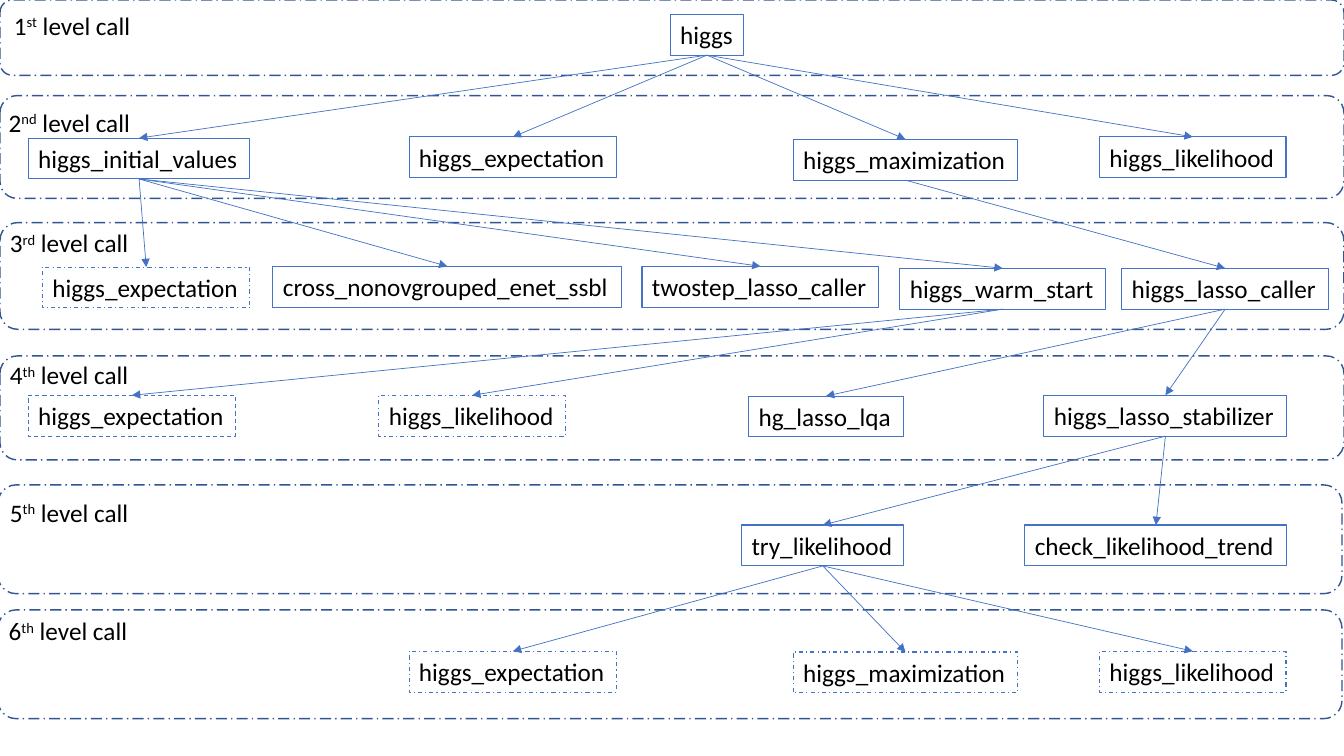
from lxml import etree
from pptx import Presentation
from pptx.dml.color import RGBColor
from pptx.enum.dml import MSO_LINE
from pptx.enum.shapes import MSO_CONNECTOR, MSO_SHAPE
from pptx.enum.text import MSO_AUTO_SIZE
from pptx.oxml.ns import qn
from pptx.util import Cm, Pt

COLORS = {"band": "325491", "box": "4472C4", "text": "000000"}
BOX_HEIGHT = 1.03
BAND_WIDTH = 33.87
TOP, BOTTOM = 0, 2
SOLID, DASH, DASH_DOT = MSO_LINE.SOLID, MSO_LINE.DASH, MSO_LINE.DASH_DOT

prs = Presentation()
prs.slide_width, prs.slide_height = Cm(BAND_WIDTH), Cm(19.05)
slide = prs.slides.add_slide(prs.slide_layouts[6])
shapes = slide.shapes


def set_line(shape, color, width, dash=SOLID):
    shape.line.color.rgb = RGBColor.from_string(COLORS[color])
    shape.line.width = Pt(width)
    shape.line.dash_style = dash


def add_text(left, top, width, *parts):
    box = shapes.add_textbox(Cm(left), Cm(top), Cm(width), Cm(BOX_HEIGHT))
    box.text_frame.word_wrap = False
    box.text_frame.auto_size = MSO_AUTO_SIZE.SHAPE_TO_FIT_TEXT
    for part in parts:
        run = box.text_frame.paragraphs[0].add_run()
        run.text = part
        run.font.name = "Calibri"
        run.font.size = Pt(18)
        run.font.color.rgb = RGBColor.from_string(COLORS["text"])
    return box


levels = [
    ("st", 0, 0, 1.9, 0.1, 0.13, 3.53),
    ("nd", 0, 2.41, 2.59, -0.03, 2.57, 3.66),
    ("rd", 0, 5.61, 2.69, 0, 5.61, 3.58),
    ("th", 0, 8.97, 2.62, 0, 8.94, 3.58),
    ("th", -0.05, 12.22, 2.74, 0, 12.4, 3.58),
    ("th", -0.05, 15.37, 2.74, -0.03, 15.39, 3.58),
]
for number, (suffix, left, top, height, *label_place) in enumerate(levels, 1):
    band = shapes.add_shape(MSO_SHAPE.ROUNDED_RECTANGLE, Cm(left), Cm(top), Cm(BAND_WIDTH), Cm(height))
    band.shadow.inherit = False
    band.fill.background()
    set_line(band, "band", 1, MSO_LINE.LONG_DASH_DOT)
    label = add_text(*label_place, str(number), suffix, " level call")
    label.text_frame.paragraphs[0].runs[1].font._element.set("baseline", "30000")

functions = [
    (1, "higgs", 16.89, 0.36, 1.85, SOLID),
    (2, "higgs_initial_values", 0.71, 3.48, 5.59, SOLID),
    (2, "higgs_expectation", 10.31, 3.45, 5.23, SOLID),
    (2, "higgs_maximization", 19.99, 3.51, 5.66, SOLID),
    (2, "higgs_likelihood", 27.71, 3.45, 4.7, SOLID),
    (3, "higgs_expectation", 1.07, 6.73, 5.23, DASH_DOT),
    (3, "cross_nonovgrouped_enet_ssbl", 6.88, 6.71, 8.79, SOLID),
    (3, "twostep_lasso_caller", 16.18, 6.71, 5.97, SOLID),
    (3, "higgs_warm_start", 22.68, 6.76, 5.18, SOLID),
    (3, "higgs_lasso_caller", 28.27, 6.76, 5.21, SOLID),
    (4, "higgs_expectation", 0.71, 9.96, 5.23, DASH),
    (4, "higgs_likelihood", 9.55, 9.96, 4.7, DASH_DOT),
    (4, "hg_lasso_lqa", 18.87, 9.98, 3.89, SOLID),
    (4, "higgs_lasso_stabilizer", 26.31, 9.96, 6.12, SOLID),
    (5, "try_likelihood", 18.69, 13.23, 4.09, SOLID),
    (5, "check_likelihood_trend", 25.83, 13.23, 6.6, SOLID),
    (6, "higgs_expectation", 10.31, 16.41, 5.23, DASH_DOT),
    (6, "higgs_maximization", 19.99, 16.43, 5.66, DASH_DOT),
    (6, "higgs_likelihood", 27.71, 16.41, 4.7, DASH_DOT),
]
boxes = {}
for level, name, left, top, width, dash in functions:
    box = add_text(left, top, width, name)
    set_line(box, "box", 0.75, dash)
    boxes[level, name] = box

calls = [
    (1, "higgs", ["higgs_initial_values", "higgs_expectation", "higgs_maximization", "higgs_likelihood"]),
    (2, "higgs_initial_values", ["higgs_expectation", "cross_nonovgrouped_enet_ssbl",
                                 "twostep_lasso_caller", "higgs_warm_start"]),
    (2, "higgs_maximization", ["higgs_lasso_caller"]),
    (3, "higgs_warm_start", ["higgs_expectation", "higgs_likelihood"]),
    (3, "higgs_lasso_caller", ["hg_lasso_lqa", "higgs_lasso_stabilizer"]),
    (4, "higgs_lasso_stabilizer", ["try_likelihood", "check_likelihood_trend"]),
    (5, "try_likelihood", ["higgs_expectation", "higgs_maximization", "higgs_likelihood"]),
]
for level, caller, callees in calls:
    for callee in callees:
        arrow = shapes.add_connector(MSO_CONNECTOR.STRAIGHT, 0, 0, 0, 0)
        arrow.begin_connect(boxes[level, caller], BOTTOM)
        arrow.end_connect(boxes[level + 1, callee], TOP)
        set_line(arrow, "box", 0.5)
        etree.SubElement(arrow.line._get_or_add_ln(), qn("a:tailEnd"), type="triangle")
        etree.SubElement(arrow._element.spPr, qn("a:effectLst"))

prs.save("out.pptx")
